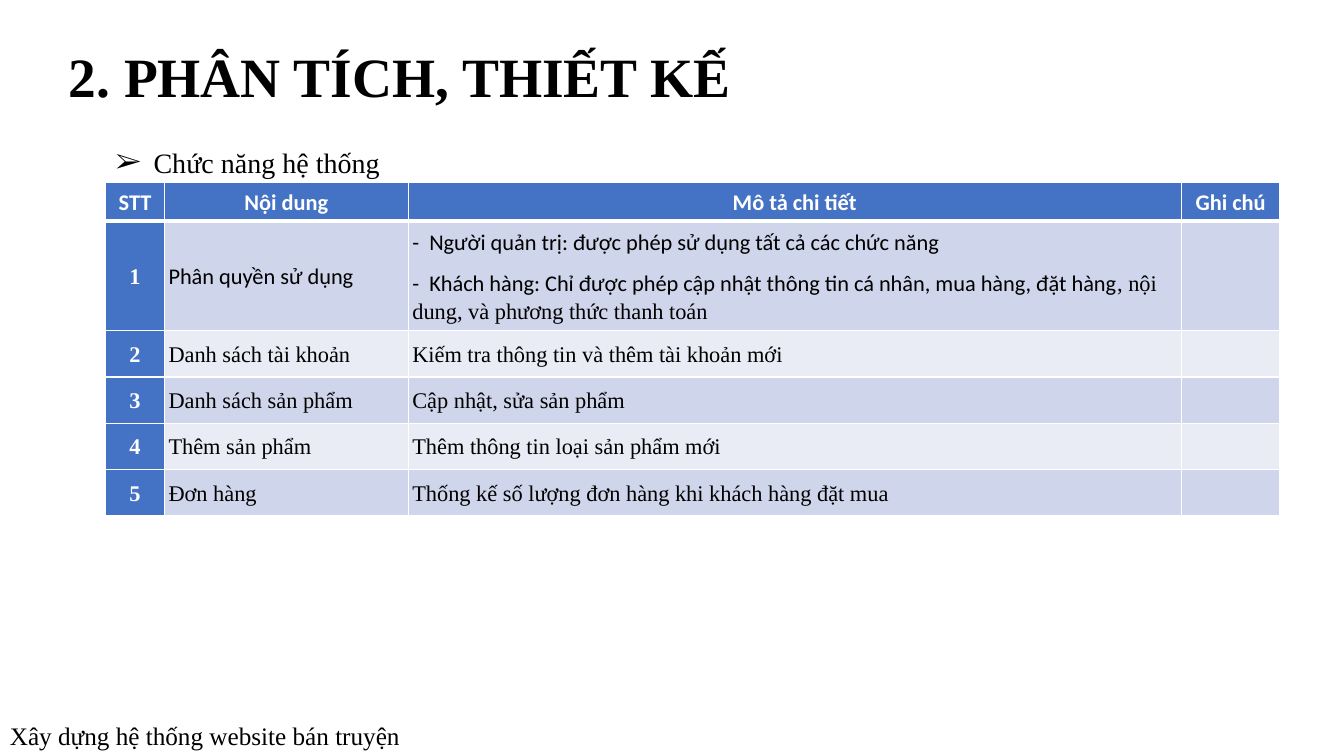
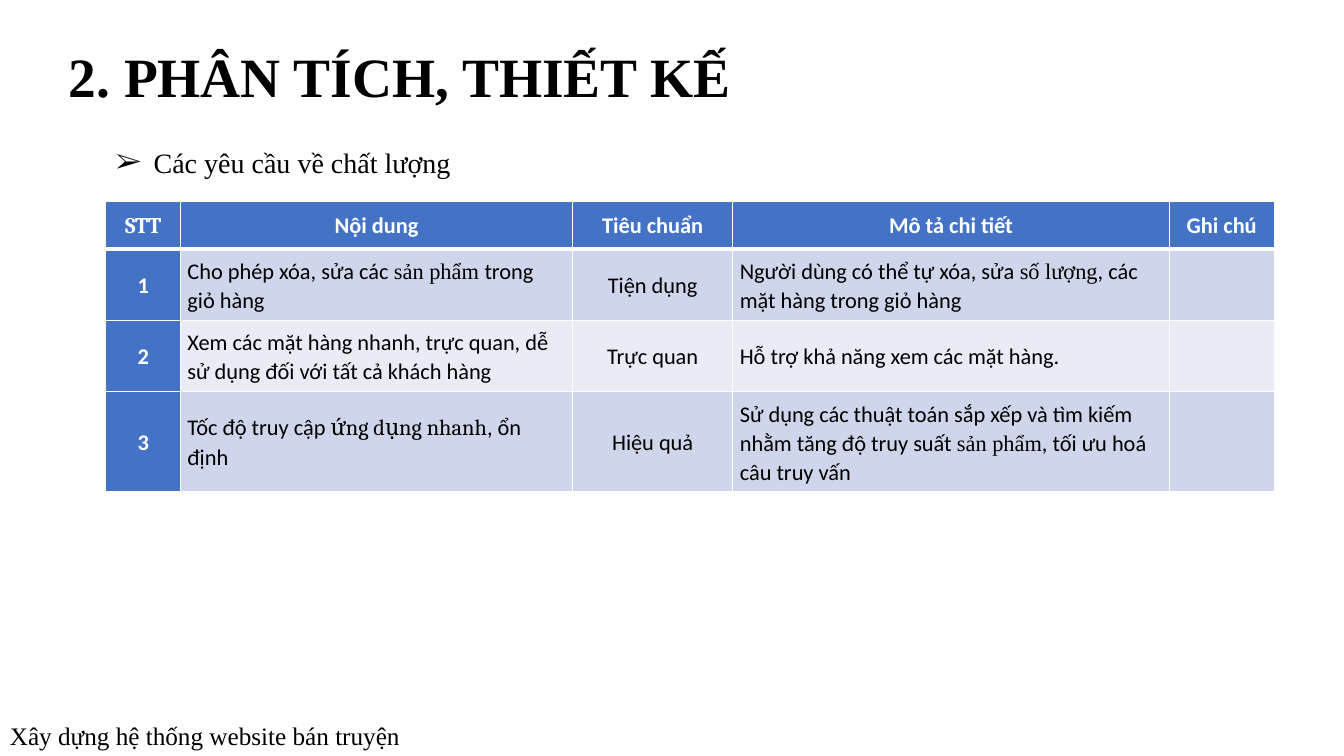
"""Build the analysis and design slides: system functions and quality requirements."""
from dataclasses import dataclass
from typing import NamedTuple

from lxml import etree
from pptx import Presentation
from pptx.dml.color import RGBColor
from pptx.enum.text import MSO_ANCHOR, MSO_AUTO_SIZE, PP_ALIGN
from pptx.oxml.ns import qn
from pptx.presentation import Presentation as Deck
from pptx.slide import Slide
from pptx.table import _Cell
from pptx.text.text import Font
from pptx.util import Pt

MIDDLE = MSO_ANCHOR.MIDDLE
NO_FIT = MSO_AUTO_SIZE.NONE
GROW = MSO_AUTO_SIZE.SHAPE_TO_FIT_TEXT
LEFT = PP_ALIGN.LEFT
CENTER = PP_ALIGN.CENTER

BLACK = RGBColor(0x00, 0x00, 0x00)
WHITE = RGBColor(0xFF, 0xFF, 0xFF)
HEADER_BLUE = RGBColor(0x44, 0x72, 0xC4)
BANDS = (RGBColor(0xCF, 0xD5, 0xEA), RGBColor(0xE9, 0xEB, 0xF5))

CALIBRI = "Calibri"
CAMBRIA = "Cambria"
TIMES = "Times New Roman"

TITLE = "2. PHÂN TÍCH, THIẾT KẾ"
FOOTER = "Xây dựng hệ thống website bán truyện"
TITLE_ONLY = 5
CONTENT_LEFT = 75.6
BULLET_INDENT = 27
THIN, THICK = 1, 3


class TextRun(NamedTuple):
    """A piece of text in one font."""

    text: str
    font: str = CALIBRI


CellText = list[list[TextRun]]


@dataclass
class TableSlide:
    """One slide with a bulleted heading and a table, lengths in points."""

    heading: str
    heading_width: float
    top: float
    inset: float
    column_widths: list[float]
    row_heights: list[float]
    centered_columns: set[int]
    rows: list[list[CellText]]


def plain(text: str, font: str = CALIBRI) -> CellText:
    """Return cell text of one paragraph in one font."""
    return [[TextRun(text, font)]]


def plain_row(*texts: str, font: str = CALIBRI) -> list[CellText]:
    """Return a row of single-font cells."""
    return [plain(text, font) for text in texts]


FUNCTIONS = TableSlide(
    heading="Chức năng hệ thống",
    heading_width=204.5,
    top=130.3,
    inset=3,
    column_widths=[41.8, 174.2, 552.2, 70.6],
    row_heights=[27.4, 78.5] + [33.1] * 4,
    centered_columns={0},
    rows=[
        plain_row("STT", "Nội dung", "Mô tả chi tiết", "Ghi chú"),
        [
            plain("1", TIMES),
            plain("Phân quyền sử dụng"),
            [
                [TextRun("-  Người quản trị: được phép sử dụng tất cả các chức năng")],
                [
                    TextRun("-  Khách hàng: Chỉ được phép cập nhật thông tin cá nhân, "
                            "mua hàng, đặt hàng"),
                    TextRun(", nội dung, và phương thức thanh toán", TIMES),
                ],
            ],
        ],
        plain_row("2", "Danh sách tài khoản",
                  "Kiếm tra thông tin và thêm tài khoản mới", font=TIMES),
        plain_row("3", "Danh sách sản phẩm", "Cập nhật, sửa sản phẩm", font=TIMES),
        plain_row("4", "Thêm sản phẩm", "Thêm thông tin loại sản phẩm mới", font=TIMES),
        plain_row("5", "Đơn hàng",
                  "Thống kế số lượng đơn hàng khi khách hàng đặt mua", font=TIMES),
    ],
)

QUALITY = TableSlide(
    heading="Các yêu cầu về chất lượng",
    heading_width=255.6,
    top=144,
    inset=5,
    column_widths=[53.3, 280.1, 114.5, 311.8, 74.9],
    row_heights=[33.8, 49.7, 49.7, 65.5],
    centered_columns={0, 2},
    rows=[
        [plain("STT", CAMBRIA)]
        + plain_row("Nội dung", "Tiêu chuẩn", "Mô tả chi tiết", "Ghi chú"),
        [
            plain("1"),
            [[TextRun("Cho phép xóa, sửa các "), TextRun("sản phẩm ", TIMES),
              TextRun("trong giỏ hàng")]],
            plain("Tiện dụng"),
            [[TextRun("Người dùng có thể tự xóa, sửa "), TextRun("số lượng", TIMES),
              TextRun(", các mặt hàng trong giỏ hàng")]],
        ],
        plain_row("2",
                  "Xem các mặt hàng nhanh, trực quan, dễ sử dụng đối với tất cả khách hàng",
                  "Trực quan", "Hỗ trợ khả năng xem các mặt hàng."),
        [
            plain("3"),
            [[TextRun("Tốc độ truy cập "), TextRun("ứng dụng nhanh", CAMBRIA),
              TextRun(", ổn định")]],
            plain("Hiệu quả"),
            [[TextRun("Sử dụng các thuật toán sắp xếp và tìm kiếm nhằm tăng độ truy suất "),
              TextRun("sản phẩm", TIMES), TextRun(", tối ưu hoá câu truy vấn")]],
        ],
    ],
)


def style_font(font: Font, name: str, size: float, color: RGBColor, bold: bool = False) -> None:
    """Set the typeface, size, colour and weight of a font."""
    font.name = name
    font.size = Pt(size)
    font.color.rgb = color
    font.bold = bold


def add_title(slide: Slide) -> None:
    """Place and format the title placeholder."""
    title = slide.shapes.title
    title.left, title.top, title.width, title.height = Pt(41.8), Pt(25.9), Pt(506.2), Pt(61.2)
    text_frame = title.text_frame
    text_frame.text = TITLE
    text_frame.auto_size = NO_FIT
    text_frame.vertical_anchor = MIDDLE
    paragraph = text_frame.paragraphs[0]
    paragraph.alignment = LEFT
    paragraph.line_spacing = 0.9
    style_font(paragraph.runs[0].font, TIMES, 39.6, BLACK, bold=True)


def add_heading(slide: Slide, text: str, width: float) -> None:
    """Add the arrow-bulleted heading above the table."""
    box = slide.shapes.add_textbox(Pt(CONTENT_LEFT), Pt(100.1), Pt(width), Pt(31.5))
    text_frame = box.text_frame
    text_frame.text = text
    text_frame.word_wrap = False
    text_frame.auto_size = GROW
    paragraph = text_frame.paragraphs[0]
    properties = paragraph._p.get_or_add_pPr()
    properties.set("marL", str(Pt(BULLET_INDENT)))
    properties.set("indent", str(Pt(-BULLET_INDENT)))
    etree.SubElement(properties, qn("a:buFont"), typeface=TIMES)
    etree.SubElement(properties, qn("a:buChar"), char="➢")
    style_font(paragraph.runs[0].font, TIMES, 20, BLACK)


def add_footer(slide: Slide) -> None:
    """Add the project name along the bottom edge."""
    box = slide.shapes.add_textbox(Pt(0), Pt(511.2), Pt(444.2), Pt(28.8))
    text_frame = box.text_frame
    text_frame.text = FOOTER
    text_frame.word_wrap = True
    text_frame.auto_size = GROW
    style_font(text_frame.paragraphs[0].runs[0].font, TIMES, 18, BLACK)


def set_borders(cell: _Cell, top: float, bottom: float) -> None:
    """Draw white borders around a cell."""
    properties = cell._tc.get_or_add_tcPr()
    for side, width in (("L", THIN), ("R", THIN), ("T", top), ("B", bottom)):
        line = etree.SubElement(properties, qn(f"a:ln{side}"), w=str(Pt(width)))
        fill = etree.SubElement(line, qn("a:solidFill"))
        etree.SubElement(fill, qn("a:srgbClr"), val=str(WHITE))


def write_cell(cell: _Cell, content: CellText, color: RGBColor, bold: bool,
               alignment: PP_ALIGN) -> None:
    """Write paragraphs of mixed-font runs into a cell."""
    text_frame = cell.text_frame
    for index, text_runs in enumerate(content):
        paragraph = text_frame.add_paragraph() if index else text_frame.paragraphs[0]
        paragraph.alignment = alignment
        paragraph.line_spacing = 1.07
        paragraph.space_after = Pt(8)
        for text_run in text_runs:
            run = paragraph.add_run()
            run.text = text_run.text
            style_font(run.font, text_run.font, 16, color, bold)


def add_content_table(slide: Slide, content: TableSlide) -> None:
    """Add the table with a blue header row and number column."""
    widths, heights = content.column_widths, content.row_heights
    table = slide.shapes.add_table(
        len(heights), len(widths), Pt(CONTENT_LEFT), Pt(content.top),
        Pt(sum(widths)), Pt(sum(heights)),
    ).table
    table.horz_banding = False
    for column, width in zip(table.columns, widths):
        column.width = Pt(width)
    for row_index, (height, texts) in enumerate(zip(heights, content.rows)):
        table.rows[row_index].height = Pt(height)
        for column_index in range(len(widths)):
            cell = table.cell(row_index, column_index)
            heading = row_index == 0 or column_index == 0
            centered = row_index == 0 or column_index in content.centered_columns
            set_borders(cell, THICK if row_index == 1 else THIN,
                        THICK if row_index == 0 else THIN)
            cell.fill.solid()
            cell.fill.fore_color.rgb = HEADER_BLUE if heading else BANDS[(row_index - 1) % 2]
            cell.vertical_anchor = MIDDLE
            cell.margin_left = cell.margin_right = Pt(content.inset)
            cell.margin_top = cell.margin_bottom = Pt(content.inset)
            if column_index < len(texts):
                write_cell(cell, texts[column_index], WHITE if heading else BLACK, heading,
                           CENTER if centered else LEFT)


def add_table_slide(presentation: Deck, content: TableSlide) -> None:
    """Add one complete slide."""
    slide = presentation.slides.add_slide(presentation.slide_layouts[TITLE_ONLY])
    add_heading(slide, content.heading, content.heading_width)
    add_content_table(slide, content)
    add_title(slide)
    add_footer(slide)


def main() -> None:
    """Build and save the presentation."""
    presentation = Presentation()
    presentation.slide_width, presentation.slide_height = Pt(960), Pt(540)
    for content in (FUNCTIONS, QUALITY):
        add_table_slide(presentation, content)
    presentation.save("out.pptx")


if __name__ == "__main__":
    main()
